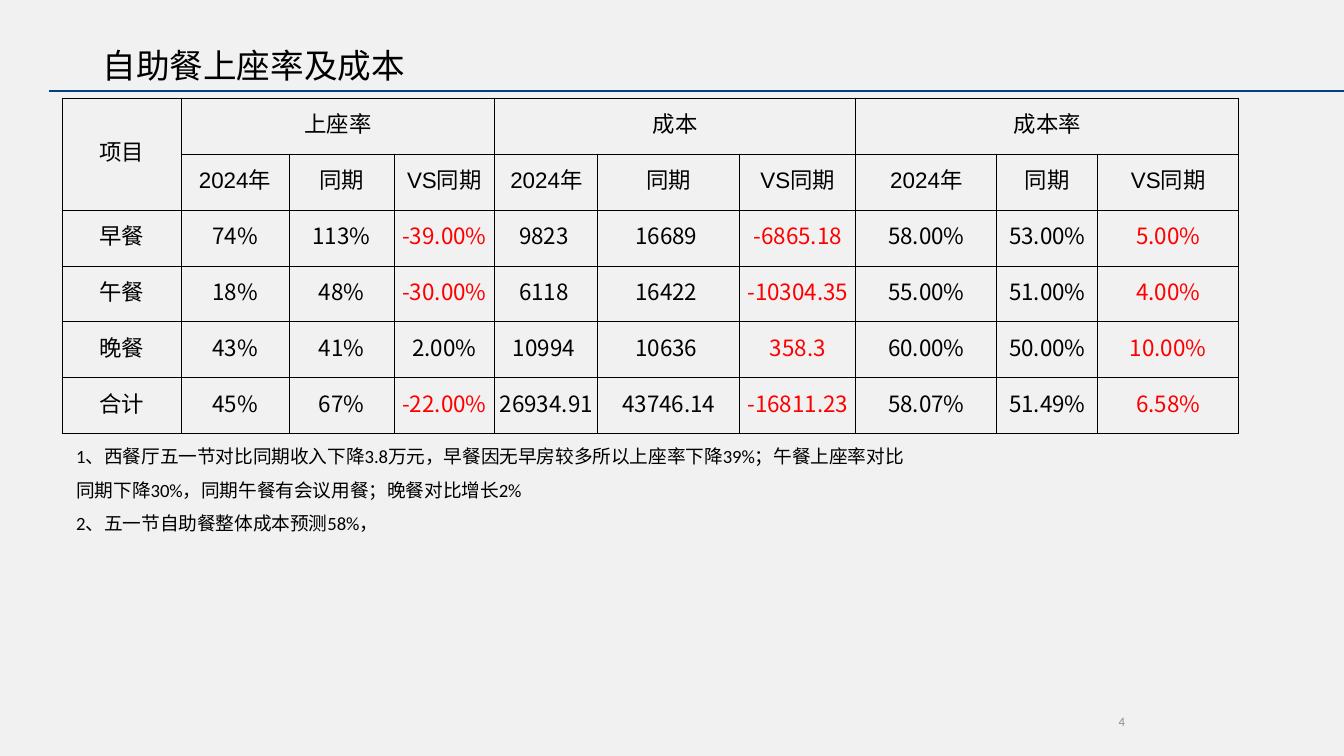
from dataclasses import dataclass

from lxml.etree import SubElement
from pptx import Presentation
from pptx.dml.color import RGBColor
from pptx.enum.shapes import MSO_CONNECTOR
from pptx.enum.text import MSO_ANCHOR, MSO_AUTO_SIZE, PP_ALIGN
from pptx.oxml import parse_xml
from pptx.oxml.ns import nsdecls, qn
from pptx.util import Pt

EMU_PER_PX = 914400 / 134.4
CJK_FONT = "Noto Sans CJK SC"
BLACK, RED, GREY = "000000", "FF0000", "8C8C8C"
BACKGROUND, RULE_BLUE = "F1F1F1", "004083"

COLUMN_WIDTHS = [119, 108, 105, 101, 103, 142, 116, 141, 101, 141]
ROW_HEIGHT = 56
GROUPS = ["上座率", "成本", "成本率"]
GROUP_COLUMNS = ["2024年", "同期", "VS同期"]
MEALS = [
    ["早餐", "74%", "113%", "-39.00%", "9823 ", "16689 ", "-6865.18", "58.00%", "53.00%", "5.00%"],
    ["午餐", "18%", "48%", "-30.00%", "6118 ", "16422 ", "-10304.35", "55.00%", "51.00%", "4.00%"],
    ["晚餐", "43%", "41%", "2.00%", "10994 ", "10636 ", "358.3", "60.00%", "50.00%", "10.00%"],
    ["合计", "45%", "67%", "-22.00%", "26934.91", "43746.14", "-16811.23", "58.07%", "51.49%", "6.58%"],
]
SEATING_CHANGE_COLUMN = 3
NOTES = [
    "1、西餐厅五一节对比同期收入下降3.8万元，早餐因无早房较多所以上座率下降39%；"
    "午餐上座率对比同期下降30%，同期午餐有会议用餐；晚餐对比增长2%",
    "2、五一节自助餐整体成本预测58%，",
]


@dataclass(frozen=True)
class Box:
    left: int
    top: int
    width: int
    height: int


@dataclass(frozen=True)
class TextStyle:
    size: float
    font: str = "Calibri"
    color: str = BLACK
    align: PP_ALIGN = PP_ALIGN.LEFT
    line_spacing: float = 1.0


def px(length: int) -> int:
    return round(length * EMU_PER_PX)


def rgb(value: str) -> RGBColor:
    return RGBColor.from_string(value)


def place(shape, box: Box) -> None:
    shape.left, shape.top = px(box.left), px(box.top)
    shape.width, shape.height = px(box.width), px(box.height)


def write(text_frame, text: str, style: TextStyle) -> None:
    text_frame.text = text
    for paragraph in text_frame.paragraphs:
        paragraph.alignment = style.align
        paragraph.line_spacing = style.line_spacing
        for run in paragraph.runs:
            run.font.size = Pt(style.size)
            run.font.name = style.font
            run.font.color.rgb = rgb(style.color)
            SubElement(run.font._element, qn("a:ea"), typeface=CJK_FONT)


def add_text(slide, box: Box, text: str, style: TextStyle):
    shape = slide.shapes.add_textbox(0, 0, 0, 0)
    place(shape, box)
    shape.text_frame.word_wrap = True
    write(shape.text_frame, text, style)
    return shape


def add_title(slide, box: Box, text: str) -> None:
    title = slide.shapes.title
    place(title, box)
    text_frame = title.text_frame
    text_frame.auto_size = MSO_AUTO_SIZE.NONE
    text_frame.word_wrap = False
    text_frame.vertical_anchor = MSO_ANCHOR.TOP
    write(text_frame, text, TextStyle(18))


def add_rule(slide, left: int, right: int, y: int) -> None:
    rule = slide.shapes.add_connector(MSO_CONNECTOR.STRAIGHT, px(left), px(y), px(right), px(y))
    rule.line.color.rgb = rgb(RULE_BLUE)
    rule.line.width = Pt(0.6)
    SubElement(rule._element.spPr, qn("a:effectLst"))


def format_cell(cell) -> None:
    """Clear the fill, set margins and draw a thin border on all four sides."""
    cell.fill.background()
    cell.vertical_anchor = MSO_ANCHOR.MIDDLE
    cell.margin_left = cell.margin_top = cell.margin_right = px(1)
    cell.margin_bottom = px(7)
    properties = cell._tc.get_or_add_tcPr()
    for index, side in enumerate(["lnL", "lnR", "lnT", "lnB"]):
        properties.insert(index, parse_xml(
            f'<a:{side} {nsdecls("a")} w="{Pt(0.5)}"><a:solidFill>'
            f'<a:srgbClr val="{BLACK}"/></a:solidFill></a:{side}>'))


def cell_style(row: int, column: int, text: str) -> TextStyle:
    """Figures use the CJK font; the change columns are red, save a rise in seating."""
    is_figure = row >= 2 and column > 0
    is_change = is_figure and column % len(GROUP_COLUMNS) == 0
    seating_rise = column == SEATING_CHANGE_COLUMN and not text.startswith("-")
    return TextStyle(12, CJK_FONT if is_figure else "Arial",
                     RED if is_change and not seating_rise else BLACK, PP_ALIGN.CENTER)


def add_meal_table(slide, left: int, top: int) -> None:
    span = len(GROUP_COLUMNS)
    group_row = ["项目"] + [text for group in GROUPS for text in [group] + [""] * (span - 1)]
    rows = [group_row, [""] + GROUP_COLUMNS * len(GROUPS)] + MEALS
    table = slide.shapes.add_table(
        len(rows), len(COLUMN_WIDTHS), px(left), px(top),
        px(sum(COLUMN_WIDTHS)), px(ROW_HEIGHT * len(rows))).table
    table.first_row = table.horz_banding = False
    for column, width in zip(table.columns, COLUMN_WIDTHS):
        column.width = px(width)
    for row_index, texts in enumerate(rows):
        table.rows[row_index].height = px(ROW_HEIGHT)
        for column_index, text in enumerate(texts):
            cell = table.cell(row_index, column_index)
            format_cell(cell)
            if text:
                write(cell.text_frame, text, cell_style(row_index, column_index, text))
    table.cell(0, 0).merge(table.cell(1, 0))
    for first in range(1, len(COLUMN_WIDTHS), span):
        table.cell(0, first).merge(table.cell(0, first + span - 1))


def add_page_number(slide, box: Box, number: str) -> None:
    text_frame = add_text(slide, box, number,
                          TextStyle(6.8, color=GREY, align=PP_ALIGN.RIGHT)).text_frame
    text_frame.vertical_anchor = MSO_ANCHOR.MIDDLE
    text_frame.margin_left = text_frame.margin_right = 0
    text_frame.margin_top = text_frame.margin_bottom = 0


def main() -> None:
    presentation = Presentation()
    presentation.slide_width, presentation.slide_height = px(1344), px(756)
    slide = presentation.slides.add_slide(presentation.slide_layouts[5])
    slide.background.fill.solid()
    slide.background.fill.fore_color.rgb = rgb(BACKGROUND)

    add_rule(slide, 49, 1344, 91)
    add_title(slide, Box(89, 38, 341, 42), "自助餐上座率及成本")
    add_page_number(slide, Box(816, 708, 309, 26), "4")
    add_text(slide, Box(63, 427, 864, 116), "\n".join(NOTES), TextStyle(10, line_spacing=1.5))
    add_meal_table(slide, 62, 98)
    presentation.save("out.pptx")


if __name__ == "__main__":
    main()
